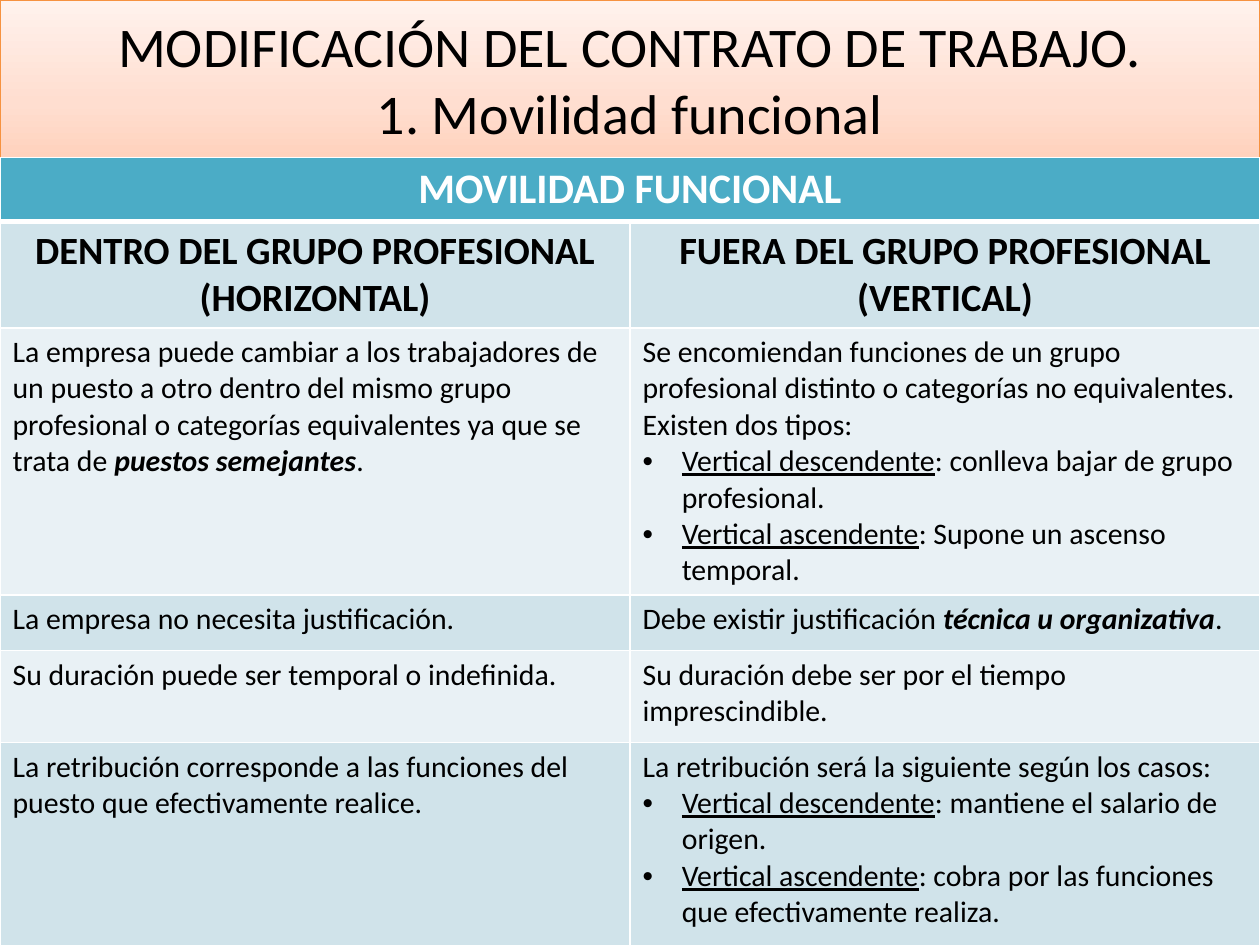
from collections import namedtuple
from lxml.etree import SubElement
from pptx import Presentation
from pptx.dml.color import RGBColor
from pptx.enum.text import MSO_ANCHOR, PP_ALIGN
from pptx.oxml.ns import qn
from pptx.util import Cm, Pt

Theme = namedtuple("Theme", "font ink white header band light edge stops title head subhead body")
theme = Theme(
    font="Calibri", ink="000000", white="FFFFFF", header="4BACC6",
    band="D0E3EA", light="E9F1F5", edge="F69240",
    stops=((0, "FFD2BD"), (35, "FFDED0"), (100, "FFF2ED")),
    title=32, head=24, subhead=22, body=17,
)


def add_node(parent, tag, **attrs):
    return SubElement(parent, qn(tag), {k: str(v) for k, v in attrs.items()})


def set_font(p, size, color, bold=False):
    p.font.name = theme.font
    p.font.size = Pt(size)
    p.font.bold = bold
    p.font.color.rgb = RGBColor.from_string(color)


prs = Presentation()
prs.slide_width, prs.slide_height = Cm(25.4), Cm(19.05)
s = prs.slides.add_slide(prs.slide_layouts[5])

sp = s.shapes.title
sp.left, sp.top, sp.width, sp.height = Cm(0), Cm(0), Cm(25.4), Cm(3.18)
grad = add_node(sp._element.spPr, "a:gradFill", rotWithShape=1)
stops = add_node(grad, "a:gsLst")
for pos, color in theme.stops:
    add_node(add_node(stops, "a:gs", pos=pos * 1000), "a:srgbClr", val=color)
add_node(grad, "a:lin", ang=270 * 60000, scaled=0)
sp.line.color.rgb = RGBColor.from_string(theme.edge)
sp.line.width = Pt(0.75)
effects = add_node(sp._element.spPr, "a:effectLst")
shadow = add_node(effects, "a:outerShdw", blurRad=Pt(3.1), dist=Pt(1.6),
                  dir=90 * 60000, rotWithShape=0)
add_node(add_node(shadow, "a:srgbClr", val=theme.ink), "a:alpha", val=38000)

tf = sp.text_frame
tf.vertical_anchor = MSO_ANCHOR.MIDDLE
p = tf.paragraphs[0]
p.alignment = PP_ALIGN.CENTER
p.add_run().text = "MODIFICACIÓN DEL CONTRATO DE TRABAJO."
p.add_line_break()
p.add_run().text = "1. Movilidad funcional"
set_font(p, theme.title, theme.ink)

PLAIN, STRONG, UNDER = "plain", "strong", "under"
DOWN = ("Vertical descendente", UNDER)
UP = ("Vertical ascendente", UNDER)
rows = [
    (1.12, [[[("MOVILIDAD FUNCIONAL", PLAIN)]]]),
    (1.12, [[[("DENTRO DEL GRUPO PROFESIONAL (HORIZONTAL)", PLAIN)]],
            [[("FUERA DEL GRUPO PROFESIONAL (VERTICAL)", PLAIN)]]]),
    (5.36, [[[("La empresa puede cambiar a los trabajadores de un puesto a otro dentro del mismo "
               "grupo profesional o categorías equivalentes ya que se trata de ", PLAIN),
              ("puestos semejantes", STRONG), (".", PLAIN)]],
            [[("Se encomiendan funciones de un grupo profesional distinto o categorías no "
               "equivalentes. Existen dos tipos:", PLAIN)],
             [DOWN, (": conlleva bajar de grupo profesional.", PLAIN)],
             [UP, (": Supone un ascenso temporal.", PLAIN)]]]),
    (1.12, [[[("La empresa no necesita justificación.", PLAIN)]],
            [[("Debe existir justificación ", PLAIN),
              ("técnica u organizativa", STRONG), (".", PLAIN)]]]),
    (1.85, [[[("Su duración puede ser temporal o indefinida.", PLAIN)]],
            [[("Su duración debe ser por el tiempo imprescindible.", PLAIN)]]]),
    (4.22, [[[("La retribución corresponde a las funciones del puesto que "
               "efectivamente realice.", PLAIN)]],
            [[("La retribución será la siguiente según los casos:", PLAIN)],
             [DOWN, (": mantiene el salario de origen.", PLAIN)],
             [UP, (": cobra por las funciones que efectivamente realiza.", PLAIN)]]]),
]

tbl = s.shapes.add_table(len(rows), 2, Cm(0), Cm(3.18), Cm(25.4), Cm(15.93)).table
tbl.horz_banding = False
tbl.cell(0, 0).merge(tbl.cell(0, 1))

for i, (height, cells) in enumerate(rows):
    tbl.rows[i].height = Cm(height)
    size = (theme.head, theme.subhead)[i] if i < 2 else theme.body
    ink = theme.white if i == 0 else theme.ink
    fill = theme.header if i == 0 else theme.band if i % 2 else theme.light
    for j in range(2):
        cell = tbl.cell(i, j)
        for side in ("L", "R", "T", "B"):
            thick = (i, side) in ((0, "B"), (1, "T"))
            ln = add_node(cell._tc.get_or_add_tcPr(), f"a:ln{side}", w=Pt(3 if thick else 1))
            add_node(add_node(ln, "a:solidFill"), "a:srgbClr", val=theme.white)
        cell.fill.solid()
        cell.fill.fore_color.rgb = RGBColor.from_string(fill)
        cell.vertical_anchor = MSO_ANCHOR.MIDDLE if i < 2 else MSO_ANCHOR.TOP
        if j >= len(cells):
            continue
        tf = cell.text_frame
        for k, runs in enumerate(cells[j]):
            p = tf.add_paragraph() if k else tf.paragraphs[0]
            p.alignment = PP_ALIGN.CENTER if i < 2 else PP_ALIGN.LEFT
            if runs[0][1] == UNDER:
                pPr = p._p.get_or_add_pPr()
                pPr.set("marL", str(Cm(0.79)))
                pPr.set("indent", str(-Cm(0.79)))
                add_node(pPr, "a:buFont", typeface="Arial")
                add_node(pPr, "a:buChar", char="•")
            set_font(p, size, ink, bold=i < 2)
            for text, style in runs:
                r = p.add_run()
                r.text = text
                if style == STRONG:
                    r.font.bold = r.font.italic = True
                elif style == UNDER:
                    r.font.underline = True

prs.save("out.pptx")
